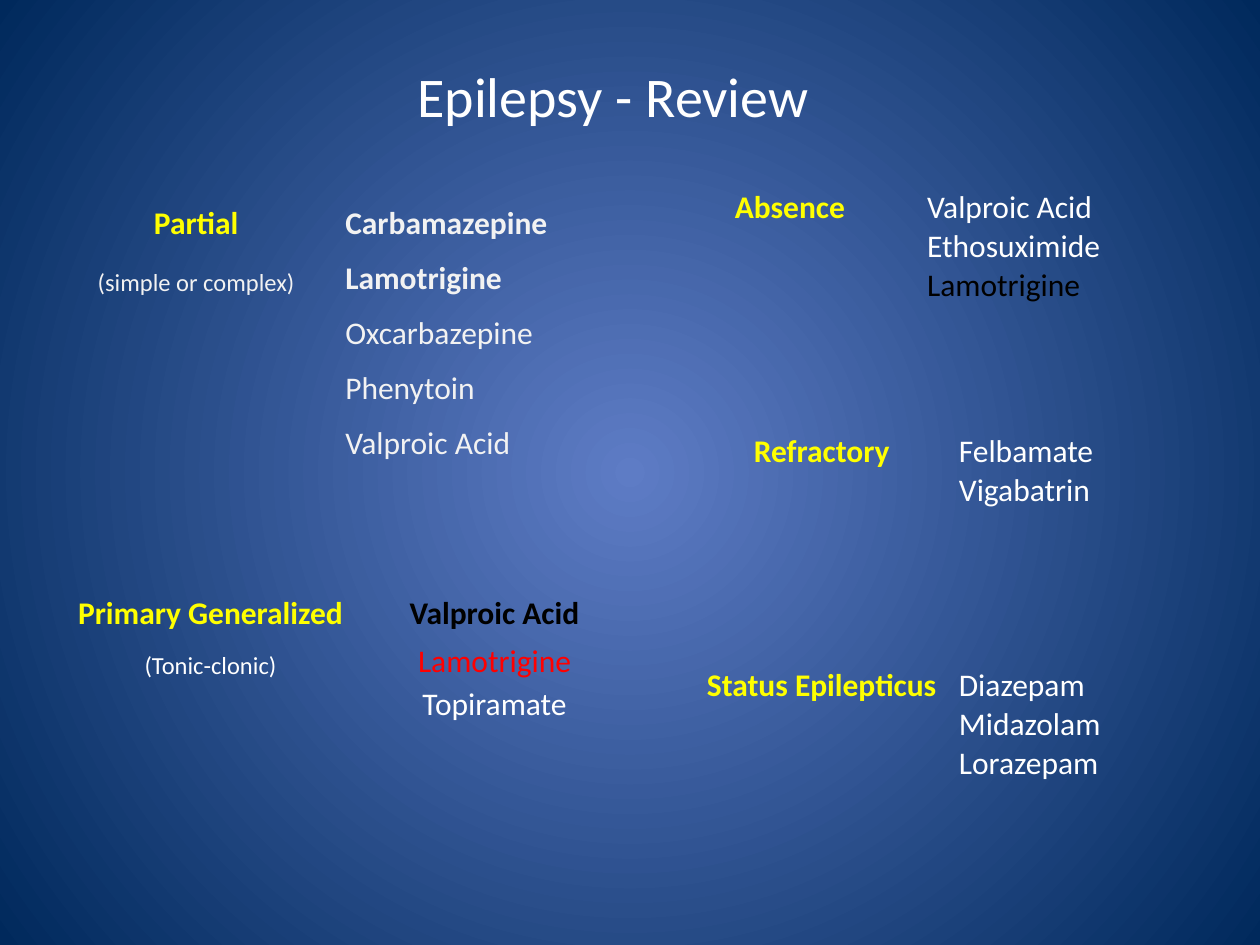
from lxml import etree
from pptx import Presentation
from pptx.dml.color import RGBColor
from pptx.enum.text import MSO_ANCHOR as Anchor, PP_ALIGN as Align
from pptx.oxml import parse_xml
from pptx.oxml.ns import nsdecls, qn
from pptx.util import Cm, Pt

WHITE, PALE, YELLOW, RED, BLACK = "FFFFFF", "F2F2F2", "FFFF00", "FF0000", "000000"
NO_STYLE_NO_GRID = "{2D5ABB26-0587-4C30-8999-92F81FD0307C}"


def rgb(value):
    return RGBColor.from_string(value)


def set_background(slide, centre, edge):
    """Fill the slide with a radial gradient."""
    fill = slide.background.fill
    fill.gradient()
    for stop, color, position in zip(fill.gradient_stops, (centre, edge), (0, 1)):
        stop.color.rgb = rgb(color)
        stop.position = position
    gradient = slide.element.find(".//" + qn("a:gradFill"))
    linear = gradient.find(qn("a:lin"))
    circle = parse_xml(f'<a:path {nsdecls("a")} path="circle"/>')
    etree.SubElement(circle, qn("a:fillToRect"), dict.fromkeys("ltrb", "50000"))
    gradient.replace(linear, circle)


def write(text_frame, text, size, color, bold=False, align=Align.LEFT):
    text_frame.text = text
    paragraph = text_frame.paragraphs[0]
    paragraph.alignment = align
    font = paragraph.runs[0].font
    font.name, font.size, font.bold = "Calibri", Pt(size), bold
    font.color.rgb = rgb(color)


def add_title(slide, text):
    shape = slide.shapes.add_textbox(Cm(7.14), Cm(1.04), Cm(10.44), Cm(1.75))
    text_frame = shape.text_frame
    text_frame.word_wrap = True
    text_frame.vertical_anchor = Anchor.MIDDLE
    write(text_frame, text, 32, WHITE, align=Align.CENTER)


def add_drug_table(slide, left, top, widths, heights, seizure, drugs,
                   subtype=None, align=Align.LEFT):
    """Place a seizure type beside its drugs, given as (name, color, bold)."""
    shape = slide.shapes.add_table(len(drugs), 2, Cm(left), Cm(top),
                                   Cm(sum(widths)), Cm(sum(heights)))
    table = shape.table
    table.first_row = table.horz_banding = False
    shape.element.find(".//" + qn("a:tableStyleId")).text = NO_STYLE_NO_GRID
    for column, width in zip(table.columns, widths):
        column.width = Cm(width)
    for row, height in zip(table.rows, heights):
        row.height = Cm(height)
    for cell in table.iter_cells():
        cell.fill.background()
        cell.vertical_anchor = Anchor.BOTTOM
        cell.margin_left = cell.margin_right = cell.margin_top = Cm(0.02)
        cell.margin_bottom = 0

    write(table.cell(0, 0).text_frame, seizure, 18, YELLOW, True, Align.CENTER)
    if subtype:
        text, color = subtype
        write(table.cell(1, 0).text_frame, text, 14, color, align=Align.CENTER)
    for index, (name, color, bold) in enumerate(drugs):
        write(table.cell(index, 1).text_frame, name, 18, color, bold, align)


def main():
    presentation = Presentation()
    presentation.slide_width, presentation.slide_height = Cm(25.4), Cm(19.05)
    slide = presentation.slides.add_slide(presentation.slide_layouts[6])
    set_background(slide, "5E7CC5", "00295C")
    add_title(slide, "Epilepsy - Review")

    add_drug_table(slide, 0.97, 3.78, (5.97, 4.62), [1.11] * 5, "Partial", [
        ("Carbamazepine", PALE, True),
        ("Lamotrigine", PALE, True),
        ("Oxcarbazepine", PALE, False),
        ("Phenytoin", PALE, False),
        ("Valproic Acid", PALE, False),
    ], subtype=("(simple or complex)", PALE))
    add_drug_table(slide, 0.97, 11.43, (6.55, 4.9), (1.32, 0.97, 0.87),
                   "Primary Generalized", [
        ("Valproic Acid", BLACK, True),
        ("Lamotrigine", RED, False),
        ("Topiramate", WHITE, False),
    ], subtype=("(Tonic-clonic)", WHITE), align=Align.CENTER)

    right_tables = [
        (13.18, 3.78, "Absence", [("Valproic Acid", WHITE), ("Ethosuximide", WHITE),
                                  ("Lamotrigine", BLACK)]),
        (13.82, 8.69, "Refractory", [("Felbamate", WHITE), ("Vigabatrin", WHITE)]),
        (13.82, 13.41, "Status Epilepticus", [("Diazepam", WHITE), ("Midazolam", WHITE),
                                              ("Lorazepam", WHITE)]),
    ]
    for left, top, seizure, drugs in right_tables:
        add_drug_table(slide, left, top, (5.49, 4.11), [0.79] * len(drugs), seizure,
                       [(name, color, False) for name, color in drugs])

    presentation.save("out.pptx")


if __name__ == "__main__":
    main()
